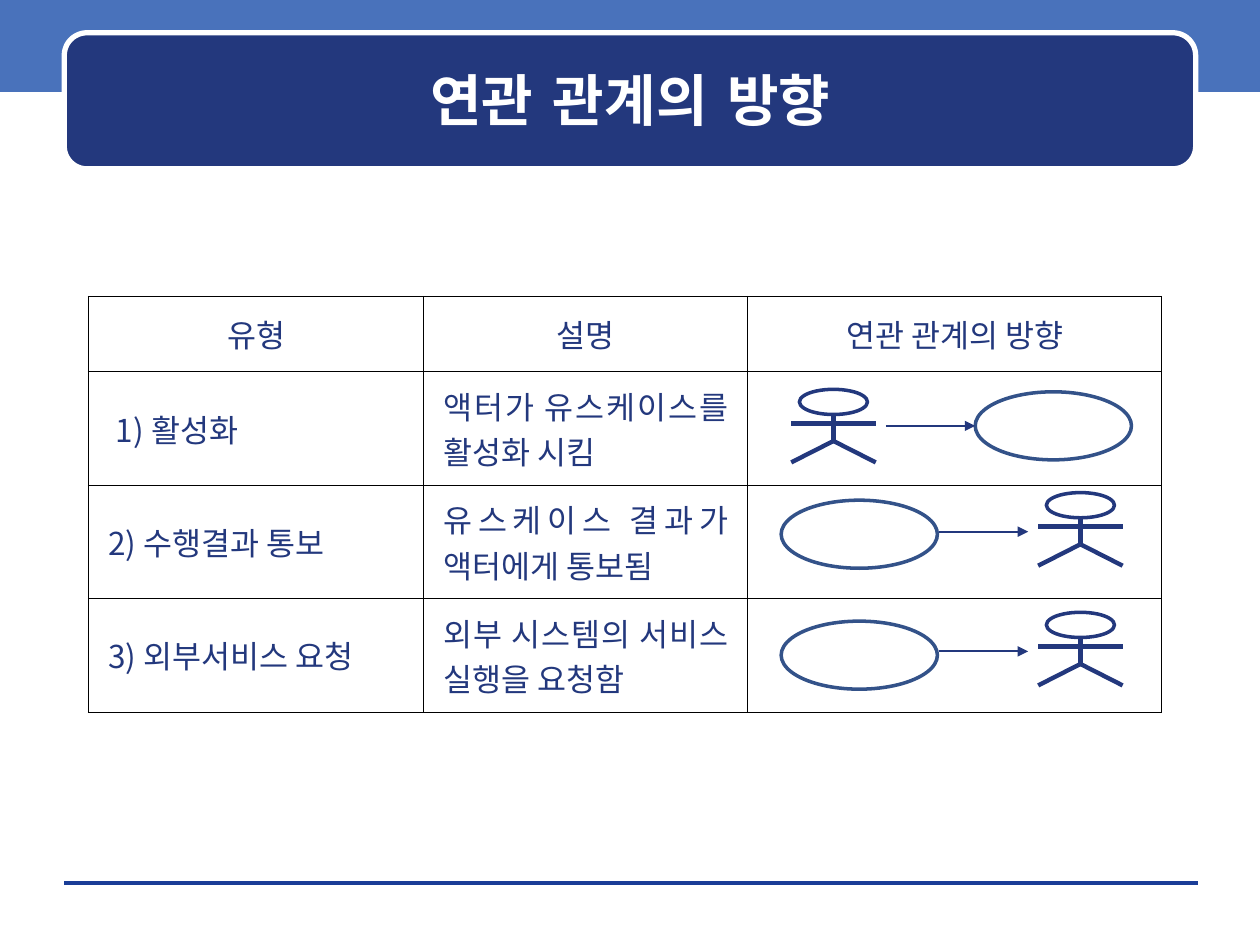
from dataclasses import dataclass

from lxml.etree import SubElement
from pptx import Presentation
from pptx.dml.color import RGBColor
from pptx.enum.shapes import MSO_CONNECTOR, MSO_SHAPE
from pptx.enum.text import MSO_ANCHOR, PP_ALIGN
from pptx.oxml import parse_xml
from pptx.oxml.ns import nsdecls, qn
from pptx.util import Inches, Pt


@dataclass(frozen=True)
class Theme:
    navy: str = "23387D"
    band: str = "4972BB"
    use_case: str = "335289"
    rule: str = "1A3D97"
    white: str = "FFFFFF"
    border: str = "000000"
    title_font: str = "DejaVu Sans"
    body_font: str = "Noto Sans CJK KR"
    title_size: float = 32
    body_size: float = 18


THEME = Theme()
SLIDE_WIDTH, SLIDE_HEIGHT = 10, 7.5

TITLE = "연관 관계의 방향"
HEADERS = ["유형", "설명", "연관 관계의 방향"]
ROWS = [
    ("1) 활성화", "액터가 유스케이스를 활성화 시킴"),
    ("2) 수행결과 통보", "유스케이스 결과가 액터에게 통보됨"),
    ("3) 외부서비스 요청", "외부 시스템의 서비스 실행을 요청함"),
]
FIRST_TYPE_INDENT, CELL_INDENT = 0.07, 0.01

TABLE_LEFT, TABLE_TOP = 0.7, 2.35
COLUMN_WIDTHS = [2.66, 2.57, 3.29]
ROW_HEIGHTS = [0.6, 0.9, 0.9, 0.9]

# Left and top of the actor and the use case, then arrow start and height
DIAGRAMS = [
    {"actor": (6.28, 3.09), "use_case": (7.74, 3.11), "arrow": (7.03, 3.38)},
    {"actor": (8.24, 3.91), "use_case": (6.2, 3.97), "arrow": (7.45, 4.22)},
    {"actor": (8.24, 4.86), "use_case": (6.2, 4.93), "arrow": (7.45, 5.17)},
]
ACTOR_WIDTH, ACTOR_HEIGHT = 0.67, 0.58
HEAD_WIDTH, HEAD_HEIGHT = 0.54, 0.2
ARM_DROP, HIP_DROP = 0.27, 0.41
USE_CASE_SIZE = (1.24, 0.54)
ARROW_LENGTH = 0.71


def color(value):
    return RGBColor.from_string(value)


def add_shape(shapes, kind, left, top, width, height, fill=None, line=None, weight=1):
    shape = shapes.add_shape(
        kind, Inches(left), Inches(top), Inches(width), Inches(height))
    shape.shadow.inherit = False
    if fill:
        shape.fill.solid()
        shape.fill.fore_color.rgb = color(fill)
    else:
        shape.fill.background()
    if line:
        shape.line.color.rgb = color(line)
        shape.line.width = Pt(weight)
    else:
        shape.line.fill.background()
    return shape


def add_line(shapes, start, end, line=THEME.navy, weight=2.5, arrow=False):
    connector = shapes.add_connector(
        MSO_CONNECTOR.STRAIGHT, *(Inches(length) for length in (*start, *end)))
    connector.line.color.rgb = color(line)
    connector.line.width = Pt(weight)
    properties = connector._element.spPr
    if arrow:
        SubElement(properties.find(qn("a:ln")), qn("a:tailEnd"), type="triangle")
    SubElement(properties, qn("a:effectLst"))


def format_paragraph(paragraph, align, font, size, text_color, bold=False):
    paragraph.alignment = align
    paragraph.font.name = font
    paragraph.font.size = Pt(size)
    paragraph.font.bold = bold
    paragraph.font.color.rgb = color(text_color)
    # East Asian typeface, which the Korean text uses
    SubElement(paragraph.font._element, qn("a:ea"), typeface=font)


def set_borders(cell):
    properties = cell._tc.get_or_add_tcPr()
    for position, side in enumerate("LRTB"):
        properties.insert(position, parse_xml(
            f'<a:ln{side} {nsdecls("a")} w="{Pt(0.45)}"><a:solidFill>'
            f'<a:srgbClr val="{THEME.border}"/></a:solidFill></a:ln{side}>'))


def add_title(slide):
    add_shape(slide.shapes, MSO_SHAPE.RECTANGLE, 0, -0.03, SLIDE_WIDTH, 0.76,
              fill=THEME.band)
    add_line(slide.shapes, (0.51, 7.01), (9.51, 7.01), THEME.rule, 0)
    add_shape(slide.shapes, MSO_SHAPE.ROUNDED_RECTANGLE, 0.51, 0.26, 8.98, 1.08,
              fill=THEME.navy, line=THEME.white, weight=3)
    title = slide.shapes.title
    title.left, title.top = Inches(0.6), Inches(0.35)
    title.width, title.height = Inches(8.81), Inches(0.88)
    title.text_frame.text = TITLE
    title.text_frame.vertical_anchor = MSO_ANCHOR.MIDDLE
    format_paragraph(title.text_frame.paragraphs[0], PP_ALIGN.CENTER,
                     THEME.title_font, THEME.title_size, THEME.white, bold=True)
    slide.shapes._spTree.append(title._element)  # bring in front of the panel


def add_type_table(slide):
    contents = [HEADERS] + [(*row, "") for row in ROWS]
    table = slide.shapes.add_table(
        len(contents), len(HEADERS), Inches(TABLE_LEFT), Inches(TABLE_TOP),
        Inches(sum(COLUMN_WIDTHS)), Inches(sum(ROW_HEIGHTS))).table
    table.first_row = table.horz_banding = False
    for column, width in zip(table.columns, COLUMN_WIDTHS):
        column.width = Inches(width)
    for row, height in zip(table.rows, ROW_HEIGHTS):
        row.height = Inches(height)

    body_alignments = [PP_ALIGN.LEFT, PP_ALIGN.JUSTIFY, PP_ALIGN.LEFT]
    for row_index, texts in enumerate(contents):
        for column_index, text in enumerate(texts):
            cell = table.cell(row_index, column_index)
            cell.fill.background()
            set_borders(cell)
            cell.vertical_anchor = MSO_ANCHOR.MIDDLE
            cell.margin_left = cell.margin_right = Inches(0.15)
            cell.margin_top = cell.margin_bottom = Inches(0.05)
            if not text:
                continue
            cell.text = text
            paragraph = cell.text_frame.paragraphs[0]
            first_type = (row_index, column_index) == (1, 0)
            indent = FIRST_TYPE_INDENT if first_type else CELL_INDENT
            paragraph._p.get_or_add_pPr().set("marL", str(Inches(indent)))
            align = body_alignments[column_index] if row_index else PP_ALIGN.CENTER
            format_paragraph(paragraph, align, THEME.body_font,
                             THEME.body_size, THEME.navy)


def add_actor(shapes, left, top):
    center, right = left + ACTOR_WIDTH / 2, left + ACTOR_WIDTH
    arms, hip, feet = top + ARM_DROP, top + HIP_DROP, top + ACTOR_HEIGHT
    add_shape(shapes, MSO_SHAPE.OVAL, center - HEAD_WIDTH / 2, top,
              HEAD_WIDTH, HEAD_HEIGHT, line=THEME.navy, weight=2)
    limbs = [
        ((center, top + HEAD_HEIGHT), (center, hip)),
        ((left, arms), (right, arms)),
        ((center, hip), (left, feet)),
        ((center, hip), (right, feet)),
    ]
    for start, end in limbs:
        add_line(shapes, start, end)


def add_diagram(slide, diagram):
    shapes = slide.shapes.add_group_shape().shapes
    add_actor(shapes, *diagram["actor"])
    add_shape(shapes, MSO_SHAPE.OVAL, *diagram["use_case"], *USE_CASE_SIZE,
              line=THEME.use_case, weight=2)
    start, height = diagram["arrow"]
    add_line(shapes, (start, height), (start + ARROW_LENGTH, height),
             weight=1.25, arrow=True)


def main():
    presentation = Presentation()
    presentation.slide_width = Inches(SLIDE_WIDTH)
    presentation.slide_height = Inches(SLIDE_HEIGHT)
    slide = presentation.slides.add_slide(presentation.slide_layouts[5])
    add_title(slide)
    add_type_table(slide)
    for diagram in DIAGRAMS:
        add_diagram(slide, diagram)
    presentation.save("out.pptx")


if __name__ == "__main__":
    main()
